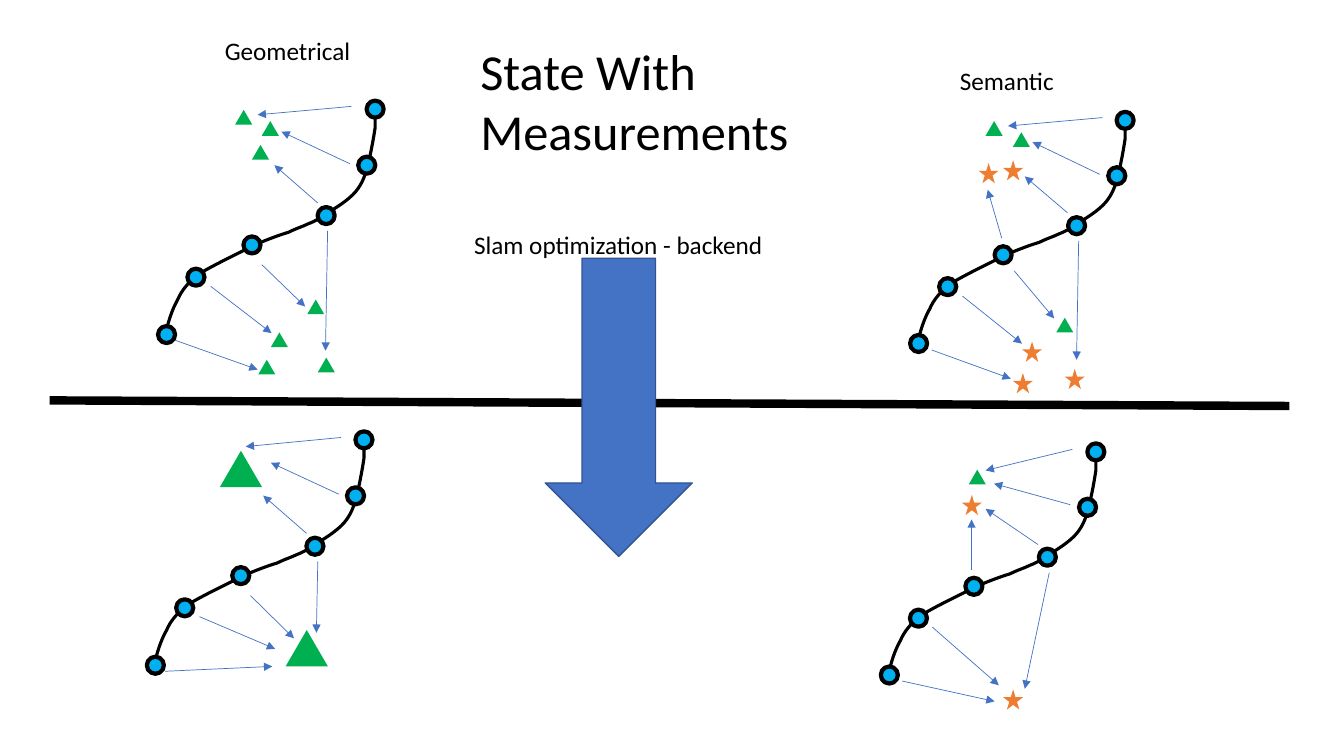
"""Build a slide on geometrical and semantic state before and after backend optimization."""
from pptx import Presentation
from pptx.dml.color import RGBColor
from pptx.enum.shapes import MSO_CONNECTOR, MSO_SHAPE
from pptx.enum.text import MSO_AUTO_SIZE
from pptx.oxml.ns import qn
from pptx.util import Pt
from lxml.etree import SubElement

BLACK = RGBColor(0x00, 0x00, 0x00)
BLUE = RGBColor(0x44, 0x72, 0xC4)
NAVY = RGBColor(0x32, 0x54, 0x91)
SKY = RGBColor(0x00, 0xB0, 0xF0)
GREEN = RGBColor(0x00, 0xB0, 0x50)
ORANGE = RGBColor(0xED, 0x7D, 0x31)

TRIPLES = [
    [(2, 153), (5, 144), (9, 137)], [(12, 130), (16, 126), (22, 120)],
    [(30, 115), (42, 109), (48, 106)], [(55, 102), (55, 102), (62, 99)],
    [(68, 96), (81, 91), (88, 89)], [(94, 86), (98, 85), (102, 83)],
    [(107, 81), (109, 80), (114, 76)], [(120, 73), (131, 66), (136, 60)],
    [(141, 54), (143, 48), (145, 40)], [(147, 32), (149, 21), (150, 14)],
    [(150, 8), (150, 4), (150, 0)],
]
NODES = [(1, 162), (22, 121), (62, 98), (115, 77), (144, 41), (150, 1)]
NODE = 12.2
MARKS = {
    "small": (MSO_SHAPE.ISOSCELES_TRIANGLE, 12.2, 10.5, GREEN),
    "large": (MSO_SHAPE.ISOSCELES_TRIANGLE, 30.2, 26, GREEN),
    "star": (MSO_SHAPE.STAR_5_POINT, 14.4, 14.4, ORANGE),
}
PANELS = [
    {"at": (118, 77), "scale": 1,
     "rays": [(125, 243, 184, 264), (150.5, 204.5, 194, 238), (187, 189, 218, 219),
              (234, 165, 232.5, 250.5), (250, 117, 201, 94), (251, 76, 184, 82),
              (227, 145, 196, 118)],
     "small": [(219.5, 214), (168, 78.5), (180, 103.5), (187, 86.5),
               (227, 255.5), (193.5, 237.5), (184.5, 257)]},
    {"at": (110, 313.2), "scale": 1,
     "rays": [(118, 479.5, 194.5, 476), (142.5, 440.5, 196.5, 463.5),
              (179, 425.5, 210, 456), (227, 401, 226, 452), (242, 353, 193.5, 330.5),
              (243.5, 312.5, 175.5, 319), (219, 381, 188, 354)],
     "large": [(157, 322), (204, 450)]},
    {"at": (655.2, 85), "scale": 0.99,
     "rays": [(665.5, 250, 722, 270.5), (687.5, 211.5, 730, 245.5),
              (724.5, 193.5, 753, 227.5), (770.5, 172, 769, 257),
              (785.5, 124.5, 737.5, 101.5), (787.5, 84, 720, 90),
              (762.5, 152, 732, 126), (715.5, 170, 705.5, 135.5)],
     "small": [(754.5, 227), (704, 86.5), (723.5, 94.5)],
     "star": [(723.5, 266.5), (730, 244), (760.5, 263.5), (716.5, 114.5), (699, 116.5)]},
    {"at": (634.3, 321.8), "scale": 0.99,
     "rays": [(644.5, 486.5, 710.5, 501), (666, 448, 713.5, 489.5),
              (749.5, 409, 732, 492), (764.5, 360.5, 710, 345.5), (766, 321, 704, 336),
              (741.5, 389, 704, 363.5), (694, 407, 694, 371)],
     "small": [(692, 335.5)],
     "star": [(716.5, 492.5), (687, 353.5)]},
]

deck = Presentation()
deck.slide_width, deck.slide_height = Pt(960), Pt(540)
slide = deck.slides.add_slide(deck.slide_layouts[6])


def write(text, left, top, width, height, size=18, wrap=False):
    box = slide.shapes.add_textbox(Pt(left), Pt(top), Pt(width), Pt(height))
    frame = box.text_frame
    frame.word_wrap = wrap
    frame.auto_size = MSO_AUTO_SIZE.SHAPE_TO_FIT_TEXT
    frame.text = text
    font = frame.paragraphs[0].runs[0].font
    font.name, font.size, font.color.rgb = "Calibri", Pt(size), BLACK


def link(shapes, ends, color, weight, head=False):
    wire = shapes.add_connector(MSO_CONNECTOR.STRAIGHT, *[Pt(end) for end in ends])
    wire.line.color.rgb, wire.line.width = color, Pt(weight)
    if head:
        SubElement(wire.line._get_or_add_ln(), qn("a:tailEnd"), type="triangle")
    SubElement(wire._element.spPr, qn("a:effectLst"))


for panel in PANELS:
    group = slide.shapes.add_group_shape().shapes
    left, top = panel["at"]
    scale = panel["scale"]

    pen = group.build_freeform(0, 163, scale=Pt(1) * scale)
    for triple in TRIPLES:
        pen.add_line_segments(triple, close=False)
    trail = pen.convert_to_shape(Pt(left), Pt(top))
    steps = list(trail._element.iter(qn("a:lnTo")))
    for start in range(0, len(steps), 3):
        first, *rest = steps[start:start + 3]
        curve = SubElement(first.getparent(), qn("a:cubicBezTo"))
        for step in [first, *rest]:
            curve.append(step[0])
            step.getparent().remove(step)
    trail.fill.background()
    trail.line.color.rgb, trail.line.width = BLACK, Pt(2.25)
    trail.shadow.inherit = False

    for x, y in NODES:
        node = group.add_shape(
            MSO_SHAPE.OVAL, Pt(left + x * scale - NODE / 2),
            Pt(top + y * scale - NODE / 2), Pt(NODE), Pt(NODE))
        node.fill.solid()
        node.fill.fore_color.rgb = SKY
        node.line.color.rgb, node.line.width = BLACK, Pt(3)
        node.shadow.inherit = False

    for ray in panel["rays"]:
        link(group, ray, BLUE, 0.5, head=True)

    for kind, (form, width, height, color) in MARKS.items():
        for x, y in panel.get(kind, []):
            mark = group.add_shape(form, Pt(x), Pt(y), Pt(width), Pt(height))
            mark.fill.solid()
            mark.fill.fore_color.rgb = color
            mark.line.fill.background()
            mark.shadow.inherit = False

link(slide.shapes, (921, 290, 35.5, 286), BLACK, 6)

arrow = slide.shapes.add_shape(MSO_SHAPE.DOWN_ARROW, Pt(393 - 3.5), Pt(184.5), Pt(105), Pt(213))
arrow.fill.solid()
arrow.fill.fore_color.rgb = BLUE
arrow.line.color.rgb, arrow.line.width = NAVY, Pt(1)
arrow.shadow.inherit = False

write("Geometrical", 153.5, 21.5, 105, 29)
write("Semantic", 678.5, 43, 83, 29)
write("Slam optimization - backend", 331.5, 160, 223, 29)
write("State With Measurements", 336, 25, 238.5, 94.5, size=36, wrap=True)

deck.save("out.pptx")
